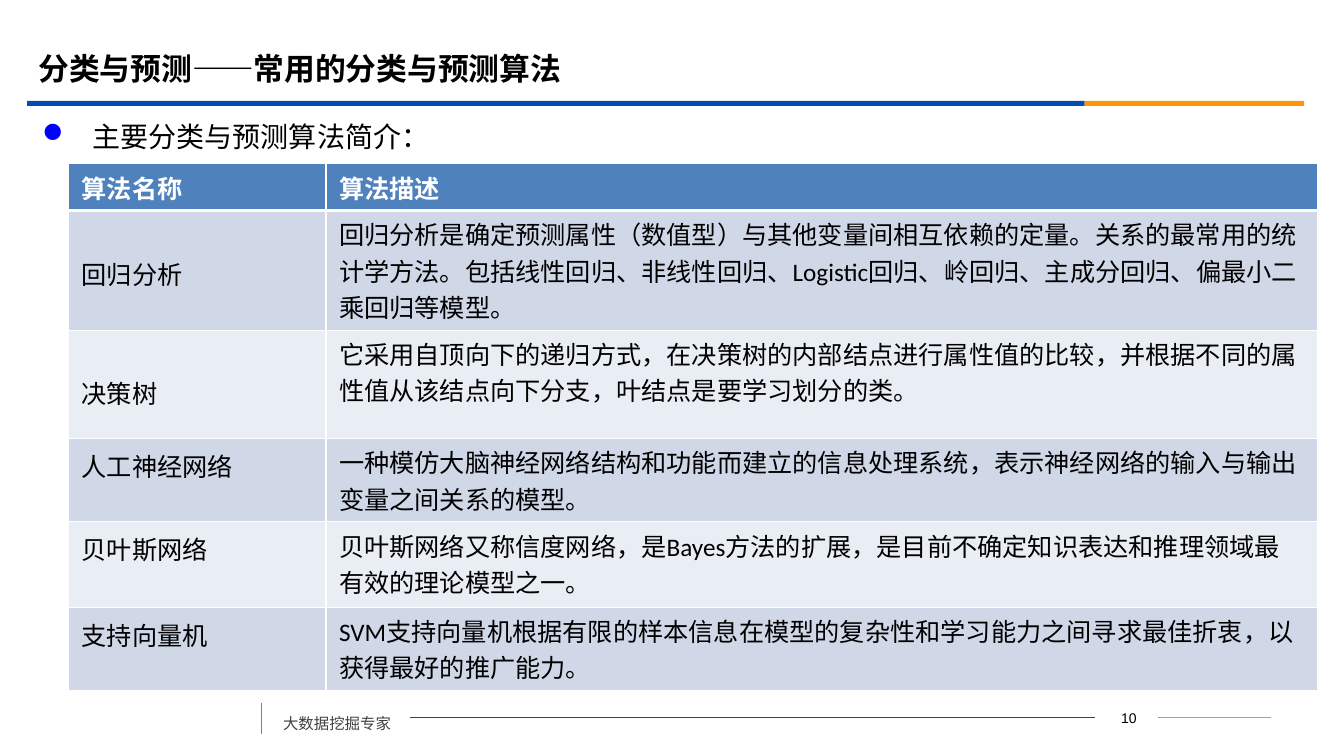
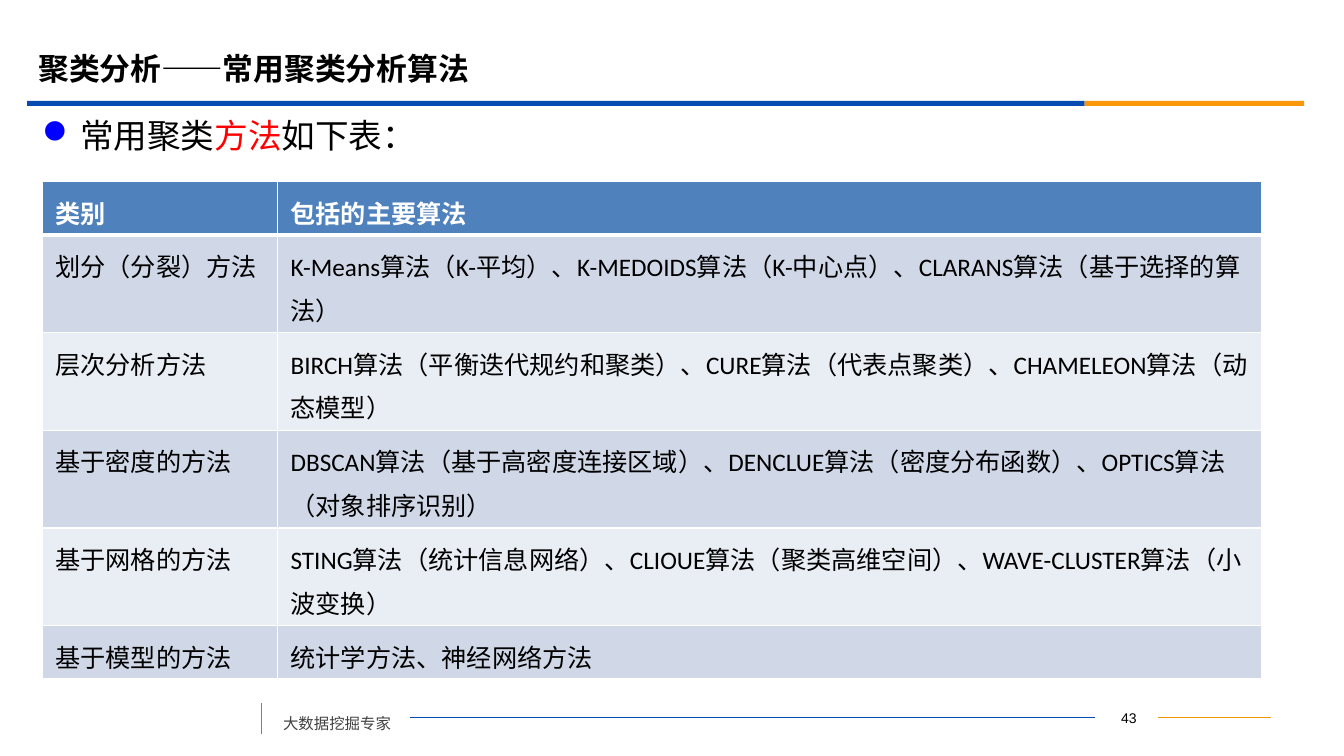
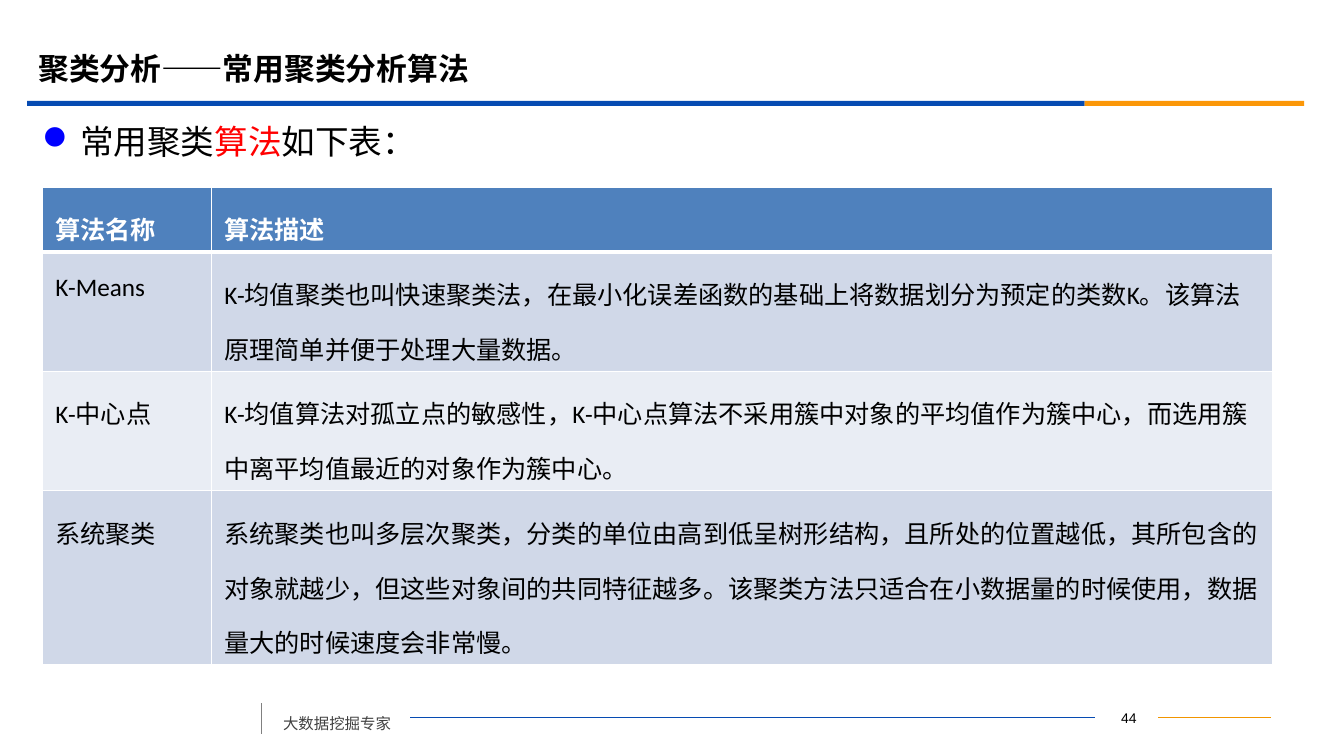
import pptx
import pptx.dml.color
import pptx.enum.shapes
import pptx.enum.text
import pptx.oxml.ns
import pptx.util
from lxml import etree

Pt = pptx.util.Pt
ALIGN = pptx.enum.text.PP_ALIGN
ANCHOR = pptx.enum.text.MSO_ANCHOR
SHAPE = pptx.enum.shapes.MSO_SHAPE
CONNECTOR = pptx.enum.shapes.MSO_CONNECTOR
qn = pptx.oxml.ns.qn

# Shared style
CJK, LATIN = "Noto Sans CJK SC", "Calibri"
BLACK, WHITE, RED, BULLET = "000000", "FFFFFF", "FF0000", "0000FF"
BLUE, ORANGE, HEADER = "064BB2", "FB9708", "4F81BD"
STRIPES = ("D0D8E8", "E9EDF4")
FOOTER = "大数据挖掘专家"
BANDS = [(19.4, 755.3, BLUE), (774.7, 156.8, ORANGE)]  # left, width, colour
RULES = [  # x1, y1, x2, y2, colour, width
    (827.3, 512.6, 907.9, 512.6, "F19500", 0.75),
    (293, 512.6, 782.3, 512.6, BLUE, 0.75),
    (186.8, 502.4, 186.8, 524, "808080", 1.25),
]

# Content; spacing holds header, first column, second column;
# lowered maps a row to the extra space above its first cell
SLIDES = [
    dict(
        number=10,
        title=[("分类与预测", "Arial"), ("——常用的分类与预测算法", CJK)],
        lead=[("主要分类与预测算法简介：", BLACK)],
        lead_top=73.4, lead_size=20, indent=36,
        table_at=(49, 117), columns=(183.8, 708.3),
        heights=(33.4, 85.4, 77.4, 59.6, 61, 59.3),
        spacing=(1, 1.1, 1), lowered={1: 25.5, 2: 25.5},
        rows=[
            ("算法名称", "算法描述"),
            ("回归分析", "回归分析是确定预测属性（数值型）与其他变量间相互依赖的定量。关系的最常用的统计学方法。"
             "包括线性回归、非线性回归、Logistic回归、岭回归、主成分回归、偏最小二乘回归等模型。"),
            ("决策树", "它采用自顶向下的递归方式，在决策树的内部结点进行属性值的比较，"
             "并根据不同的属性值从该结点向下分支，叶结点是要学习划分的类。"),
            ("人工神经网络", "一种模仿大脑神经网络结构和功能而建立的信息处理系统，"
             "表示神经网络的输入与输出变量之间关系的模型。"),
            ("贝叶斯网络", "贝叶斯网络又称信度网络，是Bayes方法的扩展，"
             "是目前不确定知识表达和推理领域最有效的理论模型之一。"),
            ("支持向量机", "SVM支持向量机根据有限的样本信息在模型的复杂性和学习能力之间寻求最佳折衷，"
             "以获得最好的推广能力。"),
        ],
    ),
    dict(
        number=43,
        title=[("聚类分析——常用聚类分析算法", CJK)],
        lead=[("常用聚类", BLACK), ("方法", RED), ("如下表：", BLACK)],
        lead_top=67.7, lead_size=24, indent=27,
        table_at=(30.2, 129.8), columns=(168, 703.2),
        heights=(38, 69.8, 69.8, 69.8, 69.8, 37.9),
        spacing=(1.2, 1.2, 1.2), lowered={},
        rows=[
            ("类别", "包括的主要算法"),
            ("划分（分裂）方法", "K-Means算法（K-平均）、K-MEDOIDS算法（K-中心点）、CLARANS算法（基于选择的算法）"),
            ("层次分析方法", "BIRCH算法（平衡迭代规约和聚类）、CURE算法（代表点聚类）、CHAMELEON算法（动态模型）"),
            ("基于密度的方法", "DBSCAN算法（基于高密度连接区域）、DENCLUE算法（密度分布函数）、OPTICS算法（对象排序识别）"),
            ("基于网格的方法", "STING算法（统计信息网络）、CLIOUE算法（聚类高维空间）、WAVE-CLUSTER算法（小波变换）"),
            ("基于模型的方法", "统计学方法、神经网络方法"),
        ],
    ),
    dict(
        number=44,
        title=[("聚类分析——常用聚类分析算法", CJK)],
        lead=[("常用聚类", BLACK), ("算法", RED), ("如下表：", BLACK)],
        lead_top=72, lead_size=24, indent=27,
        table_at=(30.2, 133.9), columns=(120.7, 758.2),
        heights=(46, 85.4, 85.4, 124.3),
        spacing=(1.5, 1.5, 1.5), lowered={},
        rows=[
            ("算法名称", "算法描述"),
            ("K-Means", "K-均值聚类也叫快速聚类法，在最小化误差函数的基础上将数据划分为预定的类数K。"
             "该算法原理简单并便于处理大量数据。"),
            ("K-中心点", "K-均值算法对孤立点的敏感性，K-中心点算法不采用簇中对象的平均值作为簇中心，"
             "而选用簇中离平均值最近的对象作为簇中心。"),
            ("系统聚类", "系统聚类也叫多层次聚类，分类的单位由高到低呈树形结构，且所处的位置越低，"
             "其所包含的对象就越少，但这些对象间的共同特征越多。"
             "该聚类方法只适合在小数据量的时候使用，数据量大的时候速度会非常慢。"),
        ],
    ),
]


def color(value):
    return pptx.dml.color.RGBColor.from_string(value)


def add_span(para, text, size, shade, font=CJK, bold=False):
    span = para.add_run()
    span.text = text
    span.font.size, span.font.bold, span.font.name = Pt(size), bold, font
    span.font.color.rgb = color(shade)
    east_asian = etree.SubElement(span.font._element, qn("a:ea"))
    east_asian.set("typeface", CJK)


def add_box(page, left, top, width, height, inset=None):
    box = page.shapes.add_textbox(Pt(left), Pt(top), Pt(width), Pt(height))
    frame = box.text_frame
    frame.word_wrap = True
    if inset is not None:
        frame.margin_left = frame.margin_right = Pt(inset)
        frame.margin_top = frame.margin_bottom = Pt(inset)
    return frame


def add_frame(page, number):
    """Bands, rules, footer text and page number."""
    for left, width, shade in BANDS:
        band = page.shapes.add_shape(SHAPE.RECTANGLE, Pt(left), Pt(72), Pt(width), Pt(3.6))
        band.shadow.inherit = False
        band.fill.solid()
        band.fill.fore_color.rgb = color(shade)
        band.line.fill.background()
    for x1, y1, x2, y2, shade, width in RULES:
        rule = page.shapes.add_connector(CONNECTOR.STRAIGHT, Pt(x1), Pt(y1), Pt(x2), Pt(y2))
        rule.line.color.rgb = color(shade)
        rule.line.width = Pt(width)
        etree.SubElement(rule._element.spPr, qn("a:effectLst"))
    para = add_box(page, 195.1, 499.7, 97.9, 27.4).paragraphs[0]
    para.line_spacing, para.space_before = 1.5, Pt(6)
    add_span(para, FOOTER, 11, "404040")
    frame = add_box(page, 784, 504, 44.6, 18, inset=0)
    frame.vertical_anchor = ANCHOR.MIDDLE
    para = frame.paragraphs[0]
    para.alignment = ALIGN.CENTER
    add_span(para, str(number), 10, BLACK, "Arial")


def set_title(page, spans):
    title = page.shapes.title
    title.left, title.top, title.width, title.height = Pt(20.2), Pt(28.1), Pt(864), Pt(41.8)
    frame = title.text_frame
    frame.auto_size = pptx.enum.text.MSO_AUTO_SIZE.NONE
    frame.vertical_anchor = ANCHOR.MIDDLE
    para = frame.paragraphs[0]
    para.alignment = ALIGN.LEFT
    for text, font in spans:
        add_span(para, text, 22, BLACK, font, True)


def add_lead(page, spans, top, size, indent):
    para = add_box(page, 30.2, top, 884.9, 58, inset=0).paragraphs[0]
    para.line_spacing, para.space_before = 1.5, Pt(size * 0.2)
    props = para._p.get_or_add_pPr()
    props.set("marL", str(Pt(indent)))
    props.set("indent", str(-Pt(indent)))
    bullet_color = etree.SubElement(props, qn("a:buClr"))
    etree.SubElement(bullet_color, qn("a:srgbClr")).set("val", BULLET)
    bullet_font = etree.SubElement(props, qn("a:buFont"))
    bullet_font.set("typeface", "Wingdings")
    bullet_font.set("charset", "2")
    etree.SubElement(props, qn("a:buChar")).set("char", "l")  # round dot in this font
    for text, shade in spans:
        add_span(para, text, size, shade)


def set_borders(cell, top, bottom):
    props = cell._tc.get_or_add_tcPr()
    sides = (("a:lnL", 1), ("a:lnR", 1), ("a:lnT", top), ("a:lnB", bottom))
    for place, (tag, width) in enumerate(sides):
        line = etree.Element(qn(tag))
        line.set("w", str(Pt(width)))
        fill = etree.SubElement(line, qn("a:solidFill"))
        etree.SubElement(fill, qn("a:srgbClr")).set("val", WHITE)
        props.insert(place, line)


def add_grid(page, rows, at, columns, heights, spacing, lowered):
    grid = page.shapes.add_table(len(rows), len(columns), Pt(at[0]), Pt(at[1]),
                                 Pt(sum(columns)), Pt(sum(heights))).table
    grid.horz_banding = False
    for column, width in zip(grid.columns, columns):
        column.width = Pt(width)
    for r, texts in enumerate(rows):
        grid.rows[r].height = Pt(heights[r])
        header = r == 0
        for c, text in enumerate(texts):
            cell = grid.cell(r, c)
            cell.margin_left = cell.margin_right = Pt(9.4)
            cell.margin_top = Pt(3.6 + (lowered.get(r, 0) if c == 0 else 0))
            cell.margin_bottom = Pt(3.6)
            cell.fill.solid()
            cell.fill.fore_color.rgb = color(HEADER if header else STRIPES[(r - 1) % 2])
            set_borders(cell, 3 if r == 1 else 1, 3 if header else 1)
            para = cell.text_frame.paragraphs[0]
            para.line_spacing = float(spacing[0 if header else c + 1])
            para.space_before = Pt(3.6)
            add_span(para, text, 18, WHITE if header else BLACK, LATIN, header)


def main():
    deck = pptx.Presentation()
    deck.slide_width, deck.slide_height = Pt(960), Pt(540)
    for item in SLIDES:
        page = deck.slides.add_slide(deck.slide_layouts[5])
        add_frame(page, item["number"])
        set_title(page, item["title"])
        add_lead(page, item["lead"], item["lead_top"], item["lead_size"], item["indent"])
        add_grid(page, item["rows"], item["table_at"], item["columns"],
                 item["heights"], item["spacing"], item["lowered"])
    deck.save("out.pptx")


if __name__ == "__main__":
    main()
